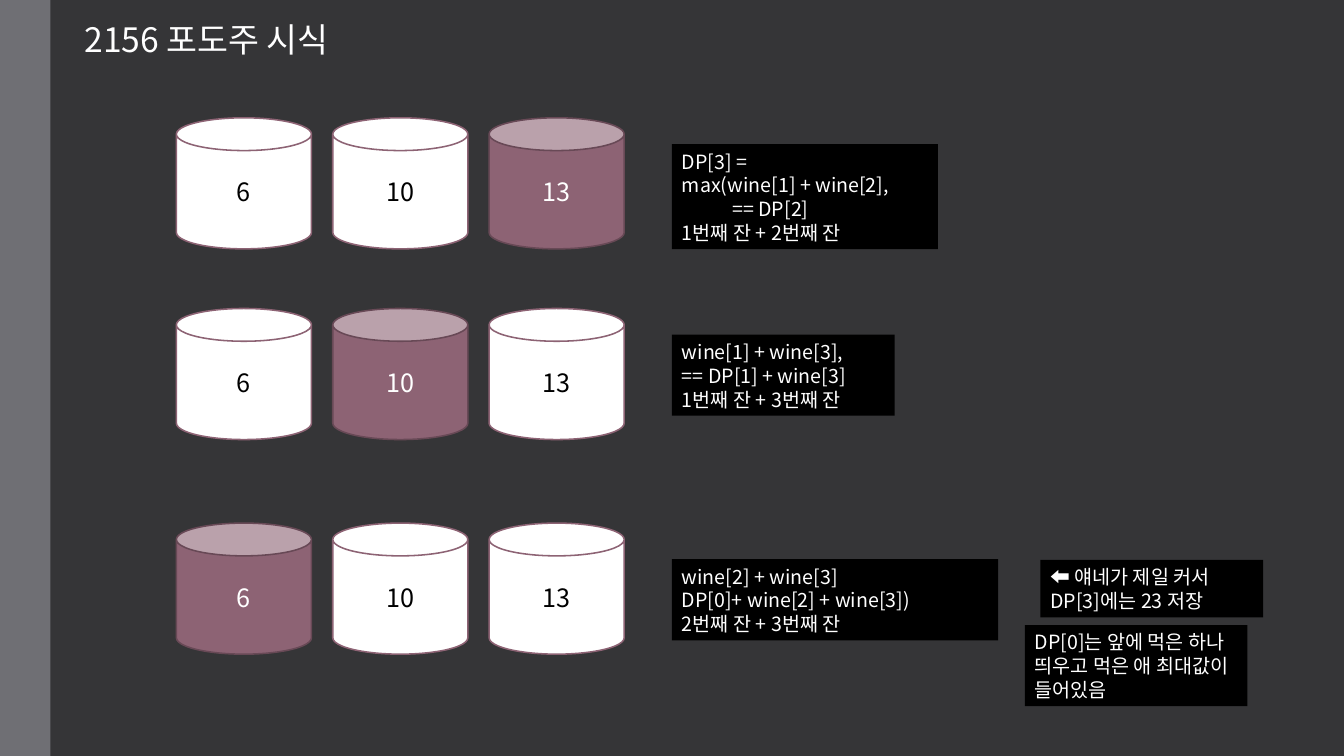
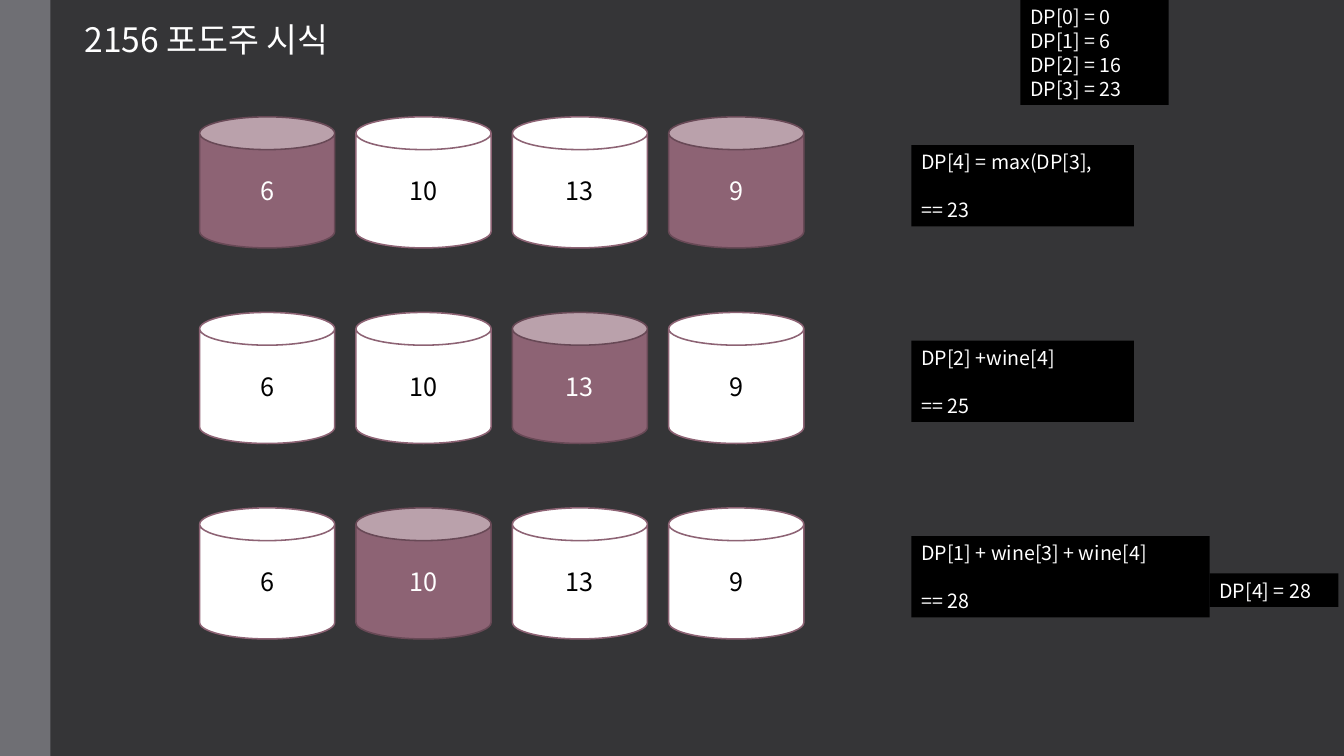
import pptx
import pptx.util
import pptx.dml.color
import pptx.enum.shapes
import pptx.enum.text
import pptx.oxml.ns
import lxml.etree

Pt = pptx.util.Pt
Kind = pptx.enum.shapes.MSO_SHAPE
Align = pptx.enum.text.PP_ALIGN
Anchor = pptx.enum.text.MSO_ANCHOR


class Look:
    font = "Noto Sans CJK KR"
    back, band = "353537", "6F6F74"
    white, black = "FFFFFF", "000000"
    wine, edge = "8D6374", "684956"
    title, can, note = 24, 18, 14
    lead = 1.2  # line height relative to type size


def color(code):
    return pptx.dml.color.RGBColor.from_string(code)


def write(shape, lines, size, ink, align=Align.LEFT, anchor=Anchor.TOP, gap=0):
    frame = shape.text_frame
    frame.word_wrap = True
    frame.vertical_anchor = anchor
    frame.text = "\n".join(line.lstrip("\t") for line in lines)
    for line, para in zip(lines, frame.paragraphs):
        para.alignment = align
        para.line_spacing = Pt(round(size * Look.lead))
        para.font.size = Pt(size)
        para.font.name = Look.font
        para.font.color.rgb = color(ink)
        east = lxml.etree.SubElement(para.font._element, pptx.oxml.ns.qn("a:ea"))
        east.set("typeface", Look.font)
        if line.startswith("\t"):
            para._p.get_or_add_pPr().set("marL", str(Pt(36)))
    if gap:
        frame.paragraphs[0].space_after = Pt(gap)


# Can grid
WIDE, HIGH, STEP = 96.5, 93.6, 111.7

# Per slide: left edge, cups, rows of (top, skipped cups),
# notes of (left, top, width, height, first gap, lines)
pages = [
    (126, ["6", "10", "13"],
     [(84.2, [2]), (220.4, [1]), (373.7, [0])],
     [(480, 103, 190, 75, 0,
       ["DP[3] =", "max(wine[1] + wine[2],", "\t== DP[2]",
        "1번째 잔 + 2번째 잔"]),
      (480, 239, 159, 58, 0,
       ["wine[1] + wine[3],", "== DP[1] + wine[3]", "1번째 잔 + 3번째 잔"]),
      (480, 399.5, 233, 58, 0,
       ["wine[2] + wine[3]", "DP[0]+ wine[2] + wine[3])",
        "2번째 잔 + 3번째 잔"]),
      (743.2, 400, 159, 41, 0, ["⬅ 얘네가 제일 커서 DP[3]에는 23 저장"]),
      (732, 446.5, 159, 58, 0,
       ["DP[0]는 앞에 먹은 하나 띄우고 먹은 애 최대값이 들어있음"])]),
    (142.6, ["6", "10", "13", "9"],
     [(83.5, [0, 3]), (223.2, [2]), (362.8, [1])],
     [(728.8, 0, 106, 75, 0,
       ["DP[0] = 0", "DP[1] = 6", "DP[2] = 16", "DP[3] = 23"]),
      (651, 103.7, 159, 58, 17, ["DP[4] = max(DP[3],", "== 23"]),
      (651, 243.4, 159, 58, 17, ["DP[2] +wine[4]", "== 25"]),
      (651, 383, 213, 58, 17, ["DP[1] + wine[3] + wine[4]", "== 28"]),
      (864, 409.5, 92, 24, 0, ["DP[4] = 28"])]),
]

deck = pptx.Presentation()
deck.slide_width, deck.slide_height = Pt(960), Pt(540)
fill = deck.slide_master.background.fill
fill.solid()
fill.fore_color.rgb = color(Look.back)

for left, cups, rows, notes in pages:
    slide = deck.slides.add_slide(deck.slide_layouts[6])
    shapes = slide.shapes

    # Side band and title
    band = shapes.add_shape(Kind.RECTANGLE, 0, 0, Pt(36), Pt(540))
    band.shadow.inherit = False
    band.fill.solid()
    band.fill.fore_color.rgb = color(Look.band)
    band.line.fill.background()
    title = shapes.add_textbox(Pt(53.3), Pt(10), Pt(366), Pt(36))
    write(title, ["2156 포도주 시식"], Look.title, Look.white)

    # Rows of cans, the skipped cups in wine red
    for top, skip in rows:
        group = shapes.add_group_shape()
        for spot, cup in enumerate(cups):
            body, rim, ink = Look.white, Look.wine, Look.black
            if spot in skip:
                body, rim, ink = Look.wine, Look.edge, Look.white
            can = group.shapes.add_shape(
                Kind.CAN, Pt(left + spot * STEP), Pt(top), Pt(WIDE), Pt(HIGH))
            can.shadow.inherit = False
            can.fill.solid()
            can.fill.fore_color.rgb = color(body)
            can.line.color.rgb = color(rim)
            can.line.width = Pt(1.1)
            write(can, [cup], Look.can, ink, Align.CENTER, Anchor.MIDDLE)

    # Notes
    for x, y, wide, high, gap, lines in notes:
        note = shapes.add_shape(Kind.RECTANGLE, Pt(x), Pt(y), Pt(wide), Pt(high))
        note.shadow.inherit = False
        note.fill.solid()
        note.fill.fore_color.rgb = color(Look.black)
        note.line.fill.background()
        write(note, lines, Look.note, Look.white, gap=gap)

deck.save("out.pptx")
